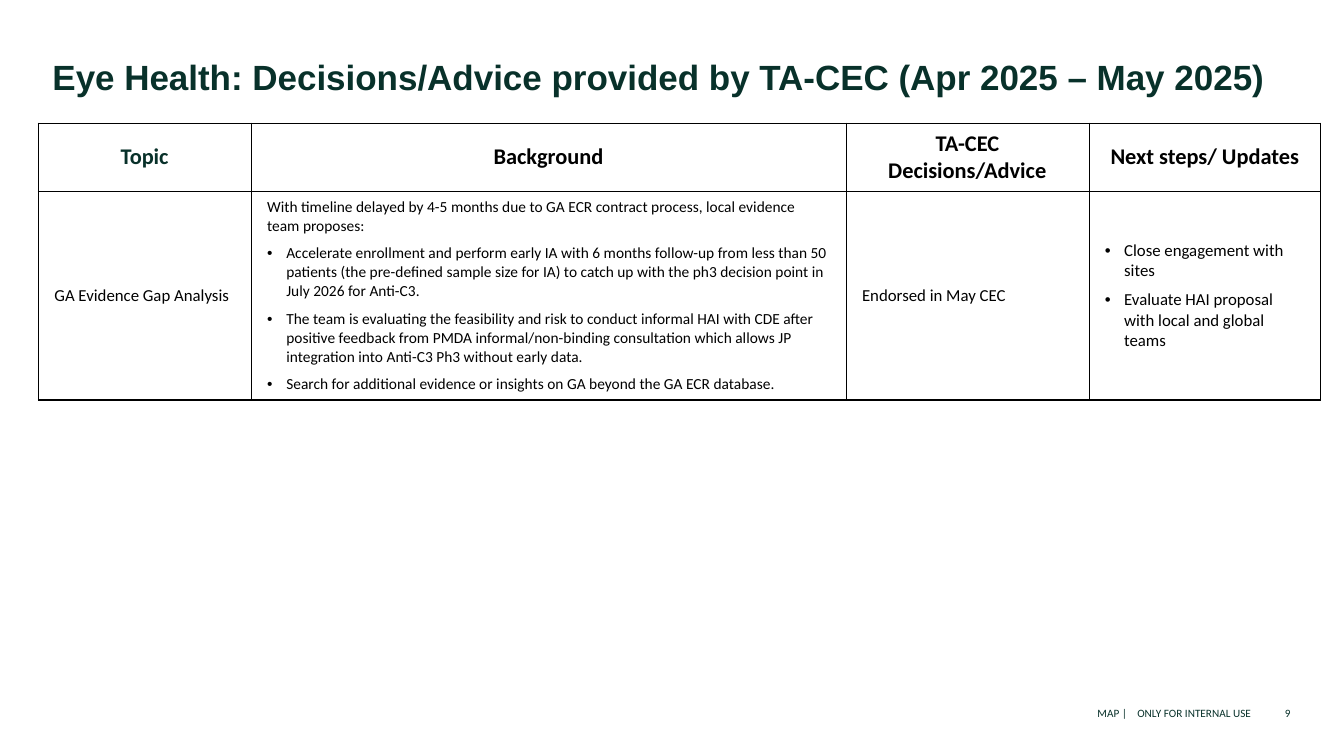
from dataclasses import dataclass

from lxml.etree import SubElement
from pptx import Presentation
from pptx.dml.color import RGBColor
from pptx.enum.text import MSO_ANCHOR as Anchor, MSO_AUTO_SIZE as AutoSize, PP_ALIGN as Align
from pptx.oxml.ns import qn
from pptx.util import Inches, Pt

COLORS = {"green": "08312A", "black": "000000"}
COLUMN_WIDTHS = (2.11, 5.9, 2.41, 2.3)
ROW_HEIGHTS = (0.68, 2.06)
BULLET_INDENT = Inches(0.19)


@dataclass(frozen=True)
class Line:
    """One paragraph of a table cell."""
    text: str
    bullet: bool = False


@dataclass(frozen=True)
class CellContent:
    """The paragraphs of a cell and their shared look."""
    lines: tuple[Line, ...]
    size: float
    color: str = "black"
    header: bool = False


@dataclass(frozen=True)
class FooterBox:
    """A right-aligned footer text, with a wide gap between its phrases."""
    phrases: tuple[str, ...]
    left: float
    width: float
    space_after: float = 0


HEADERS = (
    CellContent((Line("Topic"),), 16, "green", True),
    CellContent((Line("Background"),), 16, header=True),
    CellContent((Line("TA-CEC"), Line("Decisions/Advice")), 16, header=True),
    CellContent((Line("Next steps/ Updates"),), 16, header=True),
)
DECISION = (
    CellContent((Line("GA Evidence Gap Analysis"),), 12),
    CellContent((
        Line("With timeline delayed by 4-5 months due to GA ECR contract process, "
             "local evidence team proposes:"),
        Line("Accelerate enrollment and perform early IA with 6 months follow-up from less "
             "than 50 patients (the pre-defined sample size for IA) to catch up with the ph3 "
             "decision point in July 2026 for Anti-C3.", True),
        Line("The team is evaluating the feasibility and risk to conduct informal HAI with CDE "
             "after positive feedback from PMDA informal/non-binding consultation which allows "
             "JP integration into Anti-C3 Ph3 without early data.", True),
        Line("Search for additional evidence or insights on GA beyond the GA ECR database.", True),
    ), 11),
    CellContent((Line("Endorsed in May CEC"),), 12),
    CellContent((
        Line("Close engagement with sites", True),
        Line("Evaluate HAI proposal with local and global teams", True),
    ), 12),
)
FOOTERS = (
    FooterBox(("MAP |", "ONLY FOR INTERNAL USE"), 6.9, 5.51, 3),
    FooterBox(("9",), 12.49, 0.31),
)


def add_run(paragraph, text: str, size: float, color: str, bold=False, name="Calibri"):
    """Add a formatted run to a paragraph."""
    run = paragraph.add_run()
    run.text = text
    run.font.name = name
    run.font.size = Pt(size)
    run.font.bold = bold
    run.font.color.rgb = RGBColor.from_string(COLORS[color])
    return run


def clear_margins(frame) -> None:
    """Remove the inner margins of a text frame and wrap its text."""
    frame.word_wrap = True
    frame.auto_size = AutoSize.NONE
    frame.margin_left = frame.margin_right = frame.margin_top = frame.margin_bottom = 0


def add_title(slide, text: str) -> None:
    """Fill and place the title placeholder."""
    title = slide.shapes.title
    title.left, title.top = Inches(0.52), Inches(0.52)
    title.width, title.height = Inches(12.43), Inches(0.79)
    frame = title.text_frame
    clear_margins(frame)
    frame.margin_top = Inches(0.03)
    frame.vertical_anchor = Anchor.TOP
    paragraph = frame.paragraphs[0]
    paragraph.alignment = Align.LEFT
    add_run(paragraph, text, 25, "green", True, "Arial")


def add_bullet(paragraph) -> None:
    """Give a paragraph a hanging round bullet."""
    properties = paragraph._p.get_or_add_pPr()
    properties.set("marL", str(BULLET_INDENT))
    properties.set("indent", str(-BULLET_INDENT))
    SubElement(properties, qn("a:buFont"), typeface="Arial")
    SubElement(properties, qn("a:buChar"), char="•")


def set_borders(cell, top: float, bottom: float) -> None:
    """Draw thin black sides and the given top and bottom borders."""
    properties = cell._tc.get_or_add_tcPr()
    widths = {"a:lnL": 0.5, "a:lnR": 0.5, "a:lnT": top, "a:lnB": bottom}
    for tag, width in widths.items():
        border = SubElement(properties, qn(tag), w=str(Pt(width)))
        fill = SubElement(border, qn("a:solidFill"))
        SubElement(fill, qn("a:srgbClr"), val=COLORS["black"])


def fill_cell(cell, content: CellContent) -> None:
    """Write the content of a cell and format it."""
    cell.margin_left = cell.margin_right = Inches(0.16)
    cell.margin_top = cell.margin_bottom = Inches(0.06)
    cell.vertical_anchor = Anchor.MIDDLE
    set_borders(cell, 0.5 if content.header else 1.5, 1.5)
    cell.fill.background()
    frame = cell.text_frame
    for index, line in enumerate(content.lines):
        paragraph = frame.add_paragraph() if index else frame.paragraphs[0]
        paragraph.alignment = Align.CENTER if content.header else Align.LEFT
        paragraph.space_after = Pt(0 if content.header else 6)
        if line.bullet:
            add_bullet(paragraph)
        add_run(paragraph, line.text, content.size, content.color, content.header)


def add_decision_table(slide) -> None:
    """Add the table of topics and decisions."""
    table = slide.shapes.add_table(
        len(ROW_HEIGHTS), len(COLUMN_WIDTHS), Inches(0.38), Inches(1.22),
        Inches(sum(COLUMN_WIDTHS)), Inches(sum(ROW_HEIGHTS))).table
    table.first_row = table.horz_banding = False
    for column, width in zip(table.columns, COLUMN_WIDTHS):
        column.width = Inches(width)
    for row, height, contents in zip(table.rows, ROW_HEIGHTS, (HEADERS, DECISION)):
        row.height = Inches(height)
        for cell, content in zip(row.cells, contents):
            fill_cell(cell, content)


def add_footer(slide, footer: FooterBox) -> None:
    """Add one footer text box."""
    box = slide.shapes.add_textbox(
        Inches(footer.left), Inches(6.83), Inches(footer.width), Inches(0.31))
    frame = box.text_frame
    clear_margins(frame)
    frame.vertical_anchor = Anchor.BOTTOM
    paragraph = frame.paragraphs[0]
    paragraph.alignment = Align.RIGHT
    paragraph.space_after = Pt(footer.space_after)
    for index, phrase in enumerate(footer.phrases):
        if index:
            gap = add_run(paragraph, " ", 8, "green")
            gap.font._element.set("spc", "540")
        add_run(paragraph, phrase, 8, "green")


def main() -> None:
    """Build and save the slide."""
    presentation = Presentation()
    presentation.slide_width, presentation.slide_height = Inches(13.33), Inches(7.5)
    slide = presentation.slides.add_slide(presentation.slide_layouts[5])
    add_title(slide, "Eye Health: Decisions/Advice provided by TA-CEC (Apr 2025 – May 2025)")
    for footer in FOOTERS:
        add_footer(slide, footer)
    add_decision_table(slide)
    presentation.save("out.pptx")


if __name__ == "__main__":
    main()
